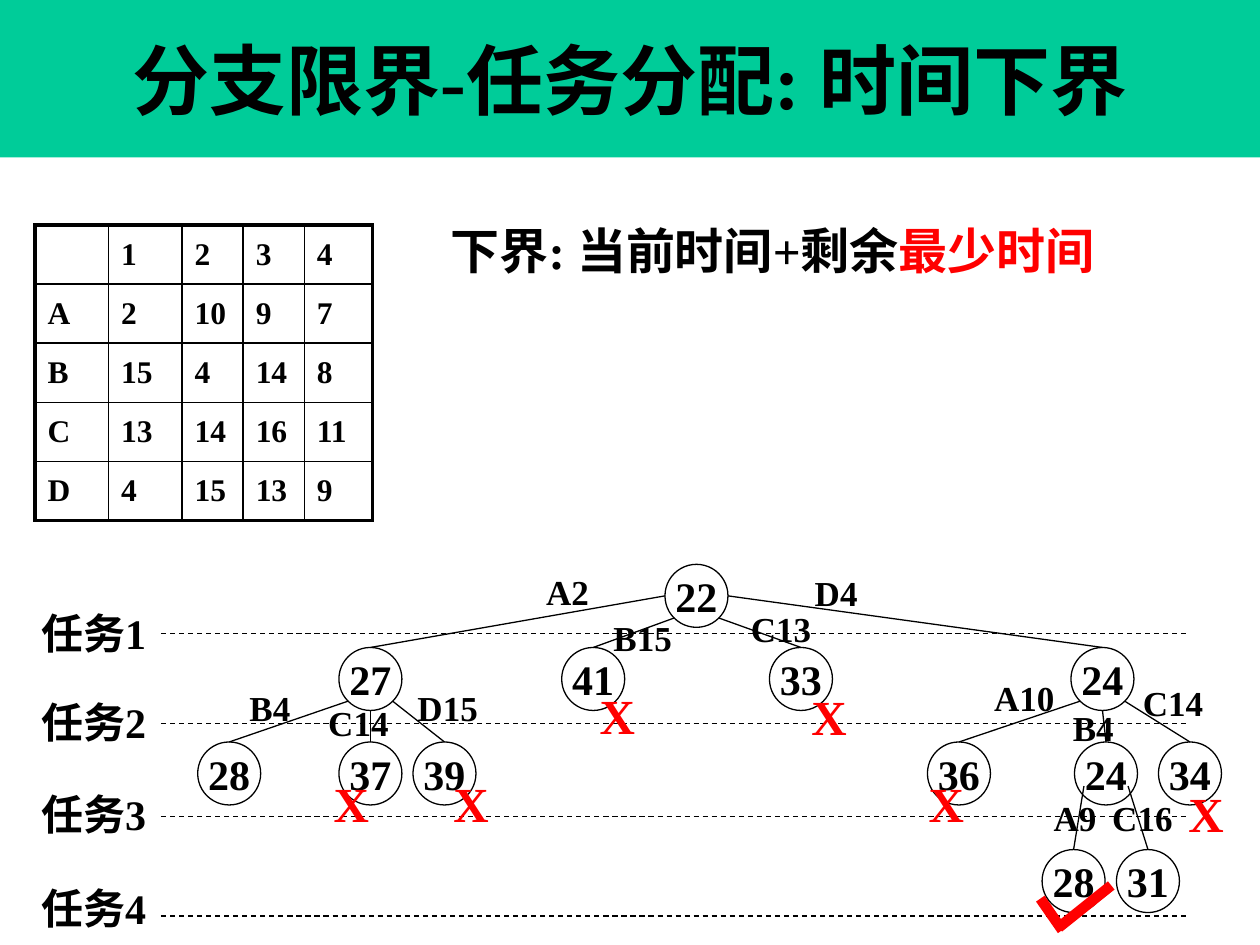
from lxml import etree
from pptx import Presentation
from pptx.dml.color import RGBColor
from pptx.enum.dml import MSO_LINE
from pptx.enum.lang import MSO_LANGUAGE_ID
from pptx.enum.shapes import MSO_CONNECTOR, MSO_SHAPE
from pptx.enum.text import MSO_ANCHOR, MSO_AUTO_SIZE, PP_ALIGN
from pptx.oxml.ns import qn
from pptx.util import Pt

STRAIGHT, OVAL, RECT = MSO_CONNECTOR.STRAIGHT, MSO_SHAPE.OVAL, MSO_SHAPE.RECTANGLE
DASH, CHINESE = MSO_LINE.DASH, MSO_LANGUAGE_ID.SIMPLIFIED_CHINESE
MIDDLE, CENTER, GROW = MSO_ANCHOR.MIDDLE, PP_ALIGN.CENTER, MSO_AUTO_SIZE.SHAPE_TO_FIT_TEXT
FONT = "Times New Roman"
BLACK, RED, GREEN = RGBColor(0, 0, 0), RGBColor(255, 0, 0), RGBColor(0, 0xCC, 0x99)

TITLE = "分支限界-任务分配: 时间下界"
BOUND = [("下界: 当前时间+剩余", BLACK), ("最少时间", RED)]
COSTS = [
    ["", "1", "2", "3", "4"],
    ["A", "2", "10", "9", "7"],
    ["B", "15", "4", "14", "8"],
    ["C", "13", "14", "16", "11"],
    ["D", "4", "15", "13", "9"],
]
COL_WIDTHS, ROW_HEIGHT = [42, 42, 35, 35, 39], 33.8

# task label, label top, dashed line y
TASKS = [("任务1", 343.5, 362), ("任务2", 394.5, 413.5),
         ("任务3", 447, 466.5), ("任务4", 500.5, 523.5)]

# node key: value, centre x, level
NODES = {
    "root": ("22", 398, 0),
    "A": ("27", 211.7, 1), "B": ("41", 339, 1), "C": ("33", 457.7, 1), "D": ("24", 630, 1),
    "AB": ("28", 131, 2), "AC": ("37", 211.7, 2), "AD": ("39", 254, 2),
    "DA": ("36", 548, 2), "DB": ("24", 632, 2), "DC": ("34", 680, 2),
    "DBA": ("28", 613.5, 3), "DBC": ("31", 656, 3),
}
LEVEL_TOPS = [322.5, 370, 424, 485.5]
DIAMETER = 36
RADIUS = DIAMETER / 2

# start of an edge on its parent, in radii from the centre
LEFT, RIGHT, BOTTOM = (-1, 0), (1, 0), (0, 1)
LOW_LEFT, LOW_RIGHT = (-0.7, 0.7), (0.7, 0.7)
SIDE_LEFT, SIDE_RIGHT = (-0.7, 0.4), (0.7, 0.4)

# parent, child, start, label, label left, label top
EDGES = [
    ("root", "A", LEFT, "A2", 305, 322.5),
    ("root", "B", LOW_LEFT, "B15", 343.5, 349),
    ("root", "C", LOW_RIGHT, "C13", 422, 343.5),
    ("root", "D", RIGHT, "D4", 458.5, 323),
    ("A", "AB", LOW_LEFT, "B4", 135.5, 389),
    ("A", "AC", BOTTOM, "C14", 180.5, 397.5),
    ("A", "AD", LOW_RIGHT, "D15", 231.5, 389),
    ("D", "DA", LOW_LEFT, "A10", 561, 383),
    ("D", "DB", BOTTOM, "B4", 606, 400),
    ("D", "DC", LOW_RIGHT, "C14", 646, 386),
    ("DB", "DBA", SIDE_LEFT, "A9", 595, 451.5),
    ("DB", "DBC", SIDE_RIGHT, "C16", 628.5, 451.5),
]
PRUNED = [(335.5, 388), (456.5, 389), (523.5, 438.5),
          (672, 444), (252, 438.5), (183.5, 438.5)]
TICK = [(594.5, 513.5, 607, 531.5), (605, 530, 635, 506)]

prs = Presentation()
prs.slide_width, prs.slide_height = Pt(720), Pt(540)
s = prs.slides.add_slide(prs.slide_layouts[6])


def add_run(p, text, size, color=BLACK):
    r = p.add_run()
    r.text = text
    f = r.font
    f.name, f.size, f.bold, f.language_id = FONT, Pt(size), True, CHINESE
    f.color.rgb = color


def add_text(x, y, w, h, runs, size, wrap=False):
    tf = s.shapes.add_textbox(Pt(x), Pt(y), Pt(w), Pt(h)).text_frame
    tf.word_wrap, tf.auto_size = wrap, GROW
    for text, color in runs:
        add_run(tf.paragraphs[0], text, size, color)
    return tf


def add_line(x1, y1, x2, y2, color=BLACK, width=0.75):
    line = s.shapes.add_connector(STRAIGHT, Pt(x1), Pt(y1), Pt(x2), Pt(y2))
    line.line.color.rgb, line.line.width = color, Pt(width)
    etree.SubElement(line._element.spPr, qn("a:effectLst"))
    return line


def add_shape(kind, x, y, w, h, text, size):
    sp = s.shapes.add_shape(kind, Pt(x), Pt(y), Pt(w), Pt(h))
    sp.shadow.inherit = False
    tf = sp.text_frame
    tf.vertical_anchor = MIDDLE
    tf.paragraphs[0].alignment = CENTER
    add_run(tf.paragraphs[0], text, size)
    return sp


def add_node(value, cx, level):
    sp = add_shape(OVAL, cx - RADIUS, LEVEL_TOPS[level], DIAMETER, DIAMETER, value, 24)
    sp.fill.background()
    sp.line.color.rgb, sp.line.width = BLACK, Pt(0.75)
    tf = sp.text_frame
    tf.word_wrap = False
    tf.margin_left = tf.margin_right = tf.margin_top = tf.margin_bottom = 0
    return sp


def set_borders(cell, widths):
    """Draw black cell borders; widths maps L, R, T and B to points."""
    tcPr = cell._tc.get_or_add_tcPr()
    for side, width in widths.items():
        ln = etree.SubElement(tcPr, qn("a:ln" + side), w=str(Pt(width)))
        fill = etree.SubElement(ln, qn("a:solidFill"))
        etree.SubElement(fill, qn("a:srgbClr"), val=str(BLACK))


def add_cost_table():
    last = len(COSTS) - 1
    table = s.shapes.add_table(len(COSTS), len(COL_WIDTHS), Pt(20), Pt(128.5),
                               Pt(sum(COL_WIDTHS)), Pt(ROW_HEIGHT * len(COSTS))).table
    table.first_row = table.horz_banding = False
    for col, width in zip(table.columns, COL_WIDTHS):
        col.width = Pt(width)
    for i, values in enumerate(COSTS):
        table.rows[i].height = Pt(ROW_HEIGHT)
        for j, value in enumerate(values):
            cell = table.cell(i, j)
            outer = {"L": j == 0, "R": j == last, "T": i == 0, "B": i == last}
            set_borders(cell, {side: 2.25 if edge else 1 for side, edge in outer.items()})
            cell.fill.background()
            cell.vertical_anchor = MIDDLE
            if value:
                add_run(cell.text_frame.paragraphs[0], value, 18)


title = add_shape(RECT, 0, 0, 720, 90, TITLE, 44)
title.fill.solid()
title.fill.fore_color.rgb = GREEN
title.line.fill.background()

add_cost_table()
add_text(250.5, 119, 392, 88.5, BOUND, 28, wrap=True).paragraphs[0].line_spacing = 1.1

for task, top, y in TASKS:
    add_line(92, y, 680, y).line.dash_style = DASH
    add_text(16.5, top, 80.5, 36, [(task, BLACK)], 24)

circles = {key: add_node(*node) for key, node in NODES.items()}
for parent, child, (dx, dy), label, x, y in EDGES:
    _, cx, level = NODES[parent]
    _, child_x, child_level = NODES[child]
    edge = add_line(cx + dx * RADIUS, LEVEL_TOPS[level] + (1 + dy) * RADIUS,
                    child_x, LEVEL_TOPS[child_level])
    edge.end_connect(circles[child], 0)
    add_text(x, y, 14.4 + 14 * len(label), 31.5, [(label, BLACK)], 20)

for stroke in TICK:
    add_line(*stroke, color=RED, width=6)
for x, y in PRUNED:
    add_text(x, y, 35, 41, [("X", RED)], 28)

prs.save("out.pptx")
